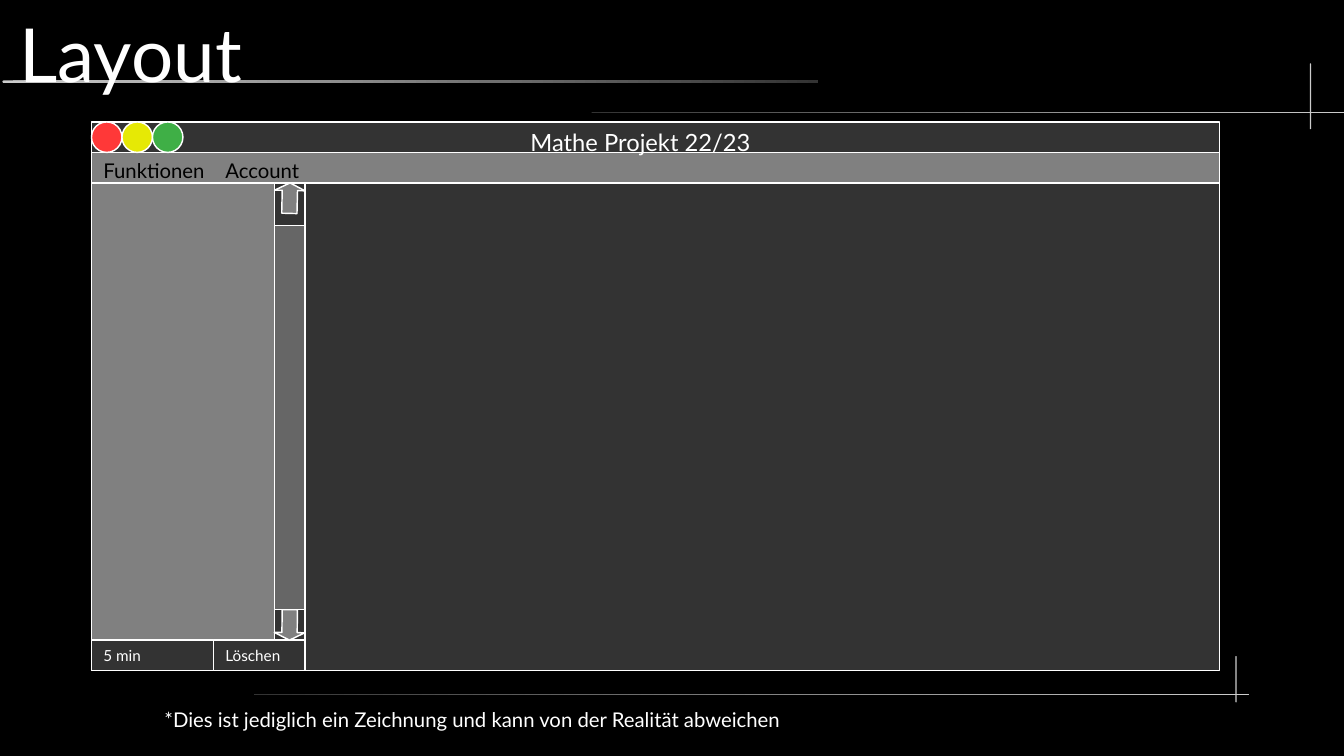
from dataclasses import dataclass

from pptx import Presentation
from pptx.dml.color import RGBColor
from pptx.enum.shapes import MSO_SHAPE
from pptx.enum.text import MSO_ANCHOR, MSO_AUTO_SIZE, PP_ALIGN
from pptx.util import Inches, Pt


@dataclass(frozen=True)
class Theme:
    font: str = "Lato"
    black: str = "000000"
    white: str = "FFFFFF"
    dark: str = "333333"
    track: str = "666666"
    panel: str = "808080"
    light: str = "CCCCCC"
    red: str = "FF3838"
    yellow: str = "E6E905"
    green: str = "3FAF46"
    title: float = 44
    heading: float = 14
    body: float = 12
    small: float = 9
    outline: float = 0.85


THEME = Theme()
WIDTH, HEIGHT = 11.02, 6.2
CELL = 0.25  # grid step of the drawn window, in inches


def color(code):
    return RGBColor.from_string(code)


def grid(column, row, columns, rows):
    """Turn grid cells into left, top, width and height."""
    return [Inches(CELL * count) for count in (column, row, columns, rows)]


def write(frame, text, size, ink=THEME.white, inset=(0.1, 0.05), anchor=MSO_ANCHOR.TOP):
    frame.auto_size = MSO_AUTO_SIZE.NONE
    frame.word_wrap = True
    frame.vertical_anchor = anchor
    frame.margin_left = frame.margin_right = Inches(inset[0])
    frame.margin_top = frame.margin_bottom = Inches(inset[1])
    para = frame.paragraphs[0]
    para.alignment = PP_ALIGN.LEFT
    span = para.add_run()
    span.text = text
    span.font.name = THEME.font
    span.font.size = Pt(size)
    span.font.color.rgb = color(ink)


def add_label(page, cells, text, size, ink=THEME.white):
    box = page.shapes.add_textbox(*grid(*cells))
    write(box.text_frame, text, size, ink=ink)


def add_part(page, cells, fill, kind=MSO_SHAPE.RECTANGLE, rotation=0):
    """Add one outlined piece of the window."""
    part = page.shapes.add_shape(kind, *grid(*cells))
    part.shadow.inherit = False
    part.fill.solid()
    part.fill.fore_color.rgb = color(fill)
    part.line.color.rgb = color(THEME.white)
    part.line.width = Pt(THEME.outline)
    part.rotation = rotation
    return part


def add_rule(page, left, top, width, height, start, end):
    """Add a thin decorative bar that fades from start to end."""
    rule = page.shapes.add_shape(
        MSO_SHAPE.ROUNDED_RECTANGLE, *map(Inches, (left, top, width, height)))
    rule.adjustments[0] = 0.5
    rule.shadow.inherit = False
    rule.line.fill.background()
    if start == end:
        rule.fill.solid()
        rule.fill.fore_color.rgb = color(start)
        return
    rule.fill.gradient()
    rule.fill.gradient_angle = 0
    for stop, code in zip(rule.fill.gradient_stops, (start, end)):
        stop.color.rgb = color(code)


def add_decoration(page):
    light, dark = THEME.light, THEME.dark
    add_rule(page, 0.02, 0.66, 6.69, 0.02, light, dark)
    add_rule(page, 4.85, 0.92, 6.21, 0.01, dark, light)
    add_rule(page, 10.74, 0.52, 0.01, 0.54, light, light)
    add_rule(page, 2.08, 5.69, 8.16, 0.01, dark, light)
    add_rule(page, 10.13, 5.38, 0.01, 0.38, light, light)


def add_title(page, text):
    title = page.shapes.title
    title.left, title.top = Inches(0.16), Inches(0.07)
    title.width, title.height = Inches(10.43), Inches(0.73)
    write(title.text_frame, text, THEME.title, inset=(0, 0), anchor=MSO_ANCHOR.MIDDLE)
    page.shapes.element.append(title.element)  # in front of the decoration


def add_window(page):
    # Frame, menu bar and side panel
    add_part(page, (3, 4, 37, 18), THEME.dark)
    add_part(page, (3, 5, 37, 1), THEME.panel)
    add_part(page, (3, 6, 7, 16), THEME.panel)

    # Title bar with its three buttons
    add_label(page, (17, 4, 13, 2.4), "Mathe Projekt 22/23", THEME.heading)
    for index, fill in enumerate((THEME.red, THEME.yellow, THEME.green)):
        add_part(page, (3 + index, 4, 1, 1), fill, kind=MSO_SHAPE.OVAL)

    # Menu entries
    for column, text in ((3, "Funktionen"), (7, "Account")):
        add_label(page, (column, 5, 6, 2.4), text, THEME.body, ink=THEME.black)

    # Buttons below the side panel
    for column, columns, text in ((7, 3, "Löschen"), (3, 4, "5 min")):
        add_part(page, (column, 21, columns, 1), THEME.dark)
        add_label(page, (column, 21, 4, 2.4), text, THEME.small)

    # Scroll bar
    add_part(page, (9, 6, 1, 15), THEME.dark)
    for row, rotation in ((20, 270.7), (6, 91.3)):
        arrow = add_part(page, (9, row, 1, 1), THEME.panel,
                         kind=MSO_SHAPE.LEFT_ARROW, rotation=rotation)
        arrow.adjustments[0], arrow.adjustments[1] = 0.5, 0.25
    add_part(page, (9, 7.4, 1, 12.6), THEME.track)


def main():
    deck = Presentation()
    deck.slide_width, deck.slide_height = Inches(WIDTH), Inches(HEIGHT)
    page = deck.slides.add_slide(deck.slide_layouts[5])
    page.background.fill.solid()
    page.background.fill.fore_color.rgb = color(THEME.black)

    add_decoration(page)
    add_title(page, "Layout")
    add_window(page)
    add_label(page, (5, 23, 31, 1.2),
              "*Dies ist jediglich ein Zeichnung und kann von der Realität abweichen",
              THEME.body)
    deck.save("out.pptx")


if __name__ == "__main__":
    main()
